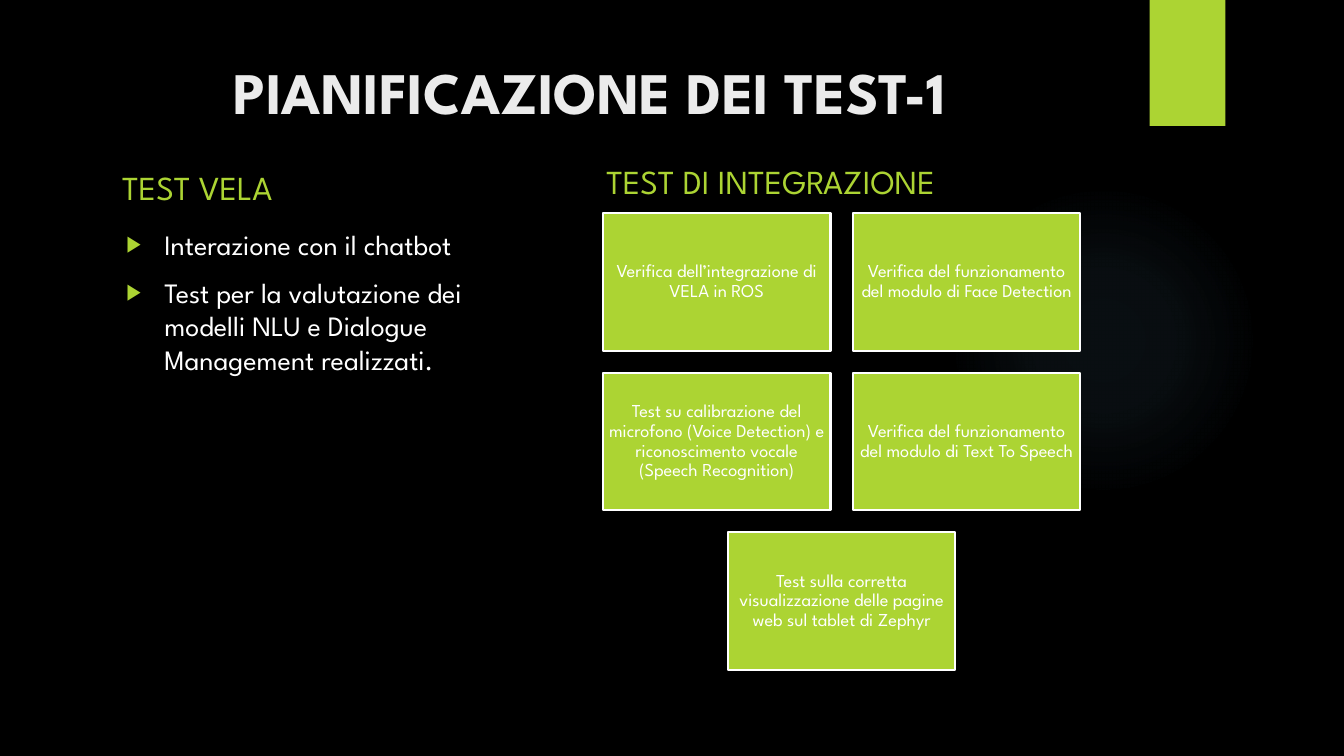
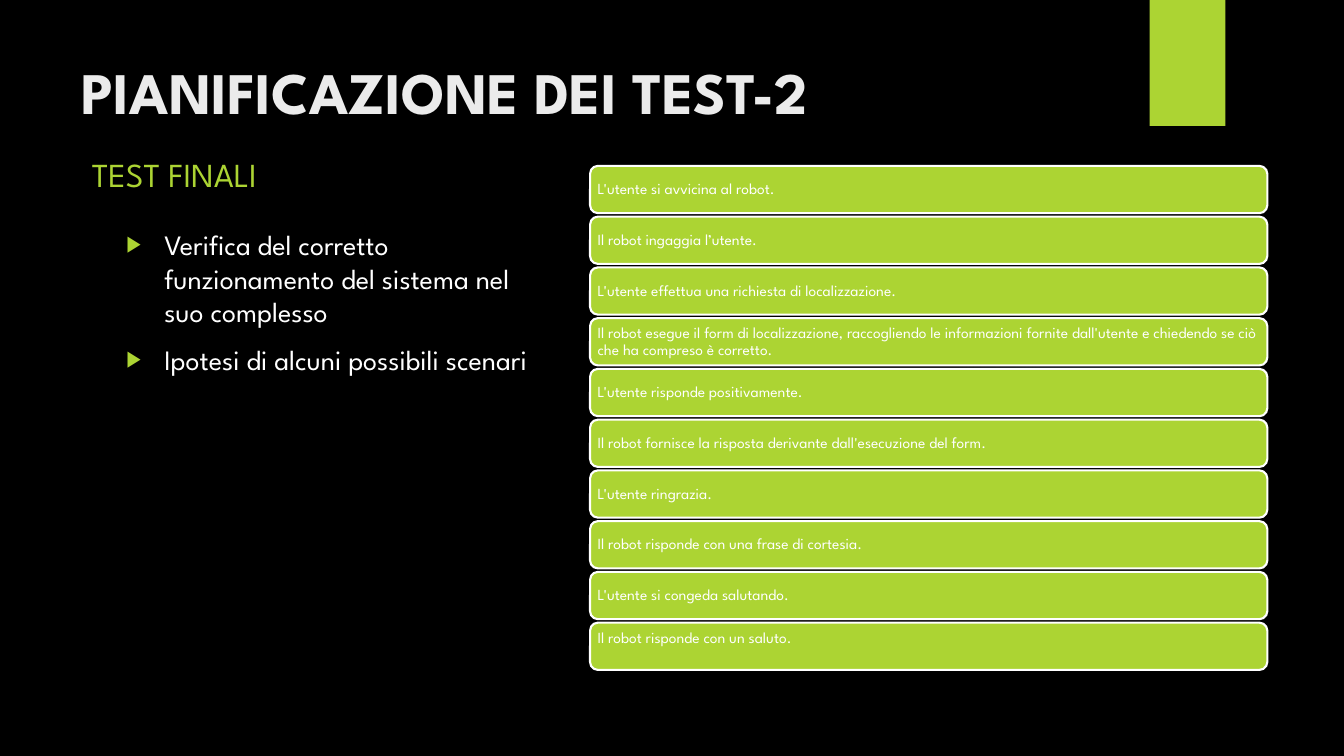
from dataclasses import dataclass

from lxml import etree
from pptx import Presentation
from pptx.dml.color import RGBColor as RGB
from pptx.enum.shapes import MSO_SHAPE as SHAPE
from pptx.enum.text import MSO_ANCHOR as ANCHOR, PP_ALIGN as ALIGN
from pptx.oxml import parse_xml
from pptx.oxml.ns import nsdecls, qn
from pptx.util import Pt

PX = 9525  # EMU per px; the slide is 1280 x 720 px


@dataclass(frozen=True)
class Theme:
    font: str = "League Spartan"
    back: str = "000000"
    accent: str = "ACD433"
    title: str = "EBEBEB"
    text: str = "FFFFFF"
    glow: str = "7AC4F0"
    title_size: int = 42
    heading_size: int = 24
    bullet_size: int = 20
    card_size: int = 13
    step_size: int = 11


T = Theme()
TITLE_BOX = (68, 48, 988, 95)
LIST_BOX = (111, 212, 407, 383)

CARDS = [
    "Verifica dell’integrazione di VELA in ROS",
    "Verifica del funzionamento del modulo di Face Detection",
    "Test su calibrazione del microfono (Voice Detection) e "
    "riconoscimento vocale (Speech Recognition)",
    "Verifica del funzionamento del modulo di Text To Speech",
    "Test sulla corretta visualizzazione delle pagine web sul tablet di Zephyr",
]
STEPS = [
    "L'utente si avvicina al robot.",
    "Il robot ingaggia l’utente.",
    "L'utente effettua una richiesta di localizzazione.",
    "Il robot esegue il form di localizzazione, raccogliendo le informazioni "
    "fornite dall'utente e chiedendo se ciò che ha compreso è corretto.",
    "L'utente risponde positivamente.",
    "Il robot fornisce la risposta derivante dall'esecuzione del form.",
    "L'utente ringrazia.",
    "Il robot risponde con una frase di cortesia.",
    "L'utente si congeda salutando.",
    "Il robot risponde con un saluto.",
]


def emu(box):
    return [round(v * PX) for v in box]


def set_font(p, size, color, bold=False):
    p.font.name = T.font
    p.font.size = Pt(size)
    p.font.bold = bold
    p.font.color.rgb = RGB.from_string(color)


def add_text(s, box, lines, size, color, anchor=ANCHOR.TOP,
             align=ALIGN.LEFT, bold=False, before=0):
    tf = s.shapes.add_textbox(*emu(box)).text_frame
    tf.word_wrap = True
    tf.vertical_anchor = anchor
    tf.text = "\n".join(lines)
    for p in tf.paragraphs:
        p.alignment = align
        p.space_before = Pt(before)
        set_font(p, size, color, bold)
    return tf


def add_block(s, kind, box, fill=T.accent):
    sp = s.shapes.add_shape(kind, *emu(box))
    sp.shadow.inherit = False
    sp.line.fill.background()
    sp.fill.solid()
    sp.fill.fore_color.rgb = RGB.from_string(fill)
    return sp


def add_label_block(s, kind, box, text, size, align, anchor=ANCHOR.MIDDLE):
    sp = add_block(s, kind, box)
    sp.line.color.rgb = RGB.from_string(T.text)
    sp.line.width = Pt(1.5)
    tf = sp.text_frame
    tf.word_wrap = True
    tf.vertical_anchor = anchor
    tf.margin_left = tf.margin_right = tf.margin_top = tf.margin_bottom = 5 * PX
    p = tf.paragraphs[0]
    p.text = text
    p.alignment = align
    p.line_spacing = 0.9
    set_font(p, size, T.text)


def add_glow(s, box):
    sp = add_block(s, SHAPE.OVAL, box)
    stops = "".join(
        f'<a:gs pos="{pos}000"><a:srgbClr val="{T.glow}">'
        f'<a:alpha val="{alpha}000"/></a:srgbClr></a:gs>'
        for pos, alpha in ((0, 7), (36, 6), (69, 0)))
    grad = parse_xml(
        f'<a:gradFill {nsdecls("a")}><a:gsLst>{stops}</a:gsLst>'
        '<a:path path="circle"><a:fillToRect l="50000" t="50000" '
        'r="50000" b="50000"/></a:path></a:gradFill>')
    solid = sp.element.spPr.find(qn("a:solidFill"))
    solid.getparent().replace(solid, grad)


def add_heading(s, box, text):
    add_text(s, box, [text], T.heading_size, T.accent, ANCHOR.BOTTOM, before=10)


def add_bullets(s, box, lines):
    tf = add_text(s, box, lines, T.bullet_size, T.text, before=10)
    for p in tf.paragraphs:
        pr = p._p.get_or_add_pPr()
        pr.set("marL", str(36 * PX))
        pr.set("indent", str(-36 * PX))
        # Bullet parts go before the default run properties
        color = etree.Element(qn("a:buClr"))
        etree.SubElement(color, qn("a:srgbClr"), val=T.accent)
        parts = [color,
                 etree.Element(qn("a:buSzPct"), val="80000"),
                 etree.Element(qn("a:buFont"), typeface="Arial"),
                 etree.Element(qn("a:buChar"), char="▶")]
        run_props = pr.find(qn("a:defRPr"))
        for part in parts:
            run_props.addprevious(part)


def add_card_grid(s, box, texts, cols=2, gap=21):
    """Cards in rows; a short last row is centred."""
    x, y, w, h = box
    rows = -(-len(texts) // cols)
    card_w = (w - gap * (cols - 1)) / cols
    card_h = (h - gap * (rows - 1)) / rows
    for row in range(rows):
        row_texts = texts[row * cols:(row + 1) * cols]
        left = x + (cols - len(row_texts)) * (card_w + gap) / 2
        for col, text in enumerate(row_texts):
            card = (left + col * (card_w + gap), y + row * (card_h + gap),
                    card_w, card_h)
            add_label_block(s, SHAPE.RECTANGLE, card, text, T.card_size,
                            ALIGN.CENTER)


def add_step_stack(s, box, texts, step_h=45):
    """Equal bars spread over the box; the last label sits at the top."""
    x, y, w, h = box
    pitch = (h - step_h) / (len(texts) - 1)
    for i, text in enumerate(texts):
        anchor = ANCHOR.TOP if i == len(texts) - 1 else ANCHOR.MIDDLE
        add_label_block(s, SHAPE.ROUNDED_RECTANGLE, (x, y + i * pitch, w, step_h),
                        text, T.step_size, ALIGN.LEFT, anchor)


def add_base(prs, title, align):
    """Slide with background, glow, corner tab and title."""
    s = prs.slides.add_slide(prs.slide_layouts[6])
    s.background.fill.solid()
    s.background.fill.fore_color.rgb = RGB.from_string(T.back)
    add_glow(s, (903, 176, 296, 296))
    add_block(s, SHAPE.RECTANGLE, (1095, 0, 72, 120))
    add_text(s, TITLE_BOX, [title], T.title_size, T.title, align=align, bold=True)
    return s


def integration_slide(prs):
    s = add_base(prs, "PIANIFICAZIONE DEI TEST-1", ALIGN.CENTER)
    add_heading(s, (107, 142, 462, 60), "TEST VELA")
    add_bullets(s, LIST_BOX, [
        "Interazione con il chatbot",
        "Test per la valutazione dei modelli NLU e Dialogue Management realizzati.",
    ])
    add_heading(s, (568, 136, 462, 60), "TEST DI INTEGRAZIONE")
    add_card_grid(s, (574, 203, 455, 435), CARDS)


def final_slide(prs):
    s = add_base(prs, "PIANIFICAZIONE DEI TEST-2", ALIGN.LEFT)
    add_heading(s, (78, 126, 462, 64), "TEST FINALI")
    add_step_stack(s, (562, 158, 645, 480), STEPS)
    add_bullets(s, LIST_BOX, [
        "Verifica del corretto funzionamento del sistema nel suo complesso",
        "Ipotesi di alcuni possibili scenari",
    ])


def main():
    prs = Presentation()
    prs.slide_width, prs.slide_height = emu((1280, 720))
    integration_slide(prs)
    final_slide(prs)
    prs.save("out.pptx")


if __name__ == "__main__":
    main()
